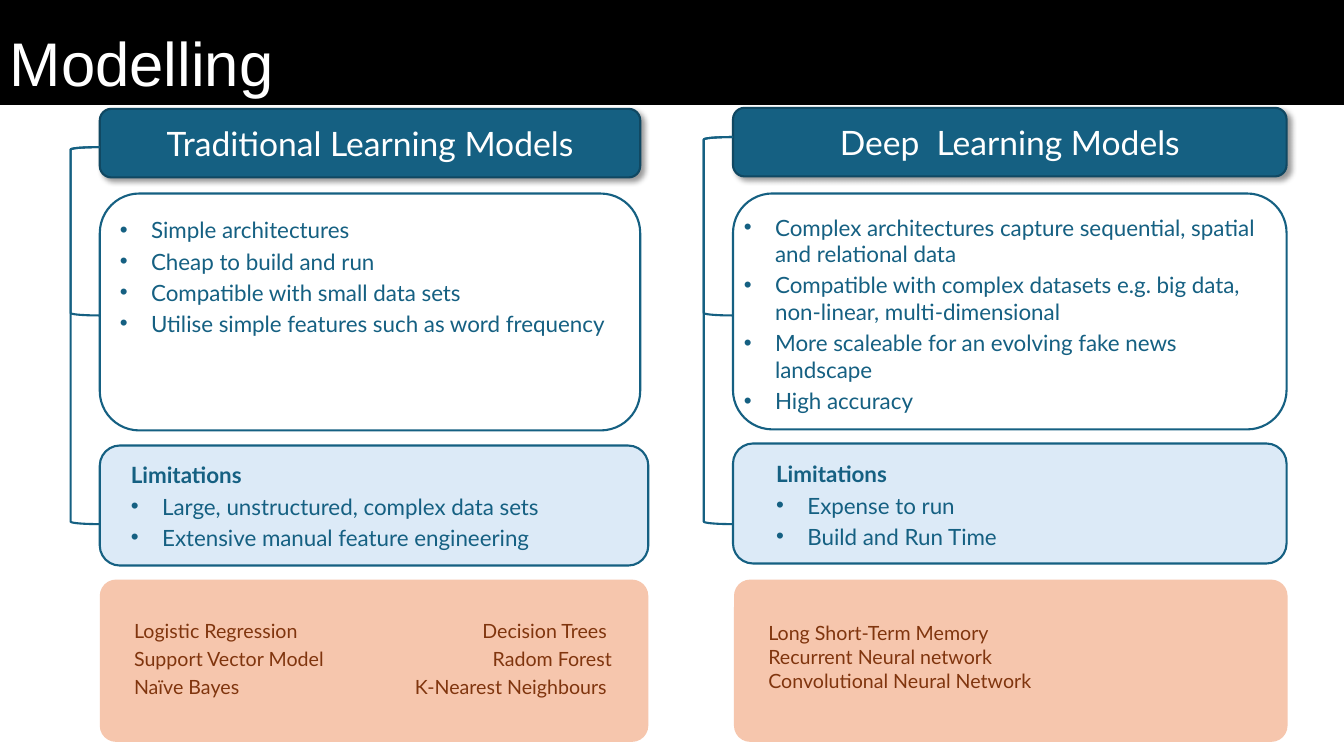
from lxml import etree
from pptx import Presentation
from pptx.dml.color import RGBColor
from pptx.enum.shapes import MSO_SHAPE
from pptx.enum.text import MSO_ANCHOR, MSO_AUTO_SIZE, PP_ALIGN
from pptx.oxml.ns import qn
from pptx.util import Inches, Pt

ROUNDED = MSO_SHAPE.ROUNDED_RECTANGLE
BRACKET = MSO_SHAPE.LEFT_BRACKET
RECTANGLE = MSO_SHAPE.RECTANGLE
MIDDLE, BOTTOM = MSO_ANCHOR.MIDDLE, MSO_ANCHOR.BOTTOM
LEFT, CENTER, RIGHT = PP_ALIGN.LEFT, PP_ALIGN.CENTER, PP_ALIGN.RIGHT
FIT_TEXT = MSO_AUTO_SIZE.SHAPE_TO_FIT_TEXT

WHITE = RGBColor(0xFF, 0xFF, 0xFF)
BLACK = RGBColor(0x00, 0x00, 0x00)
TEAL = RGBColor(0x15, 0x60, 0x82)
DARK_TEAL = RGBColor(0x10, 0x48, 0x62)
PALE_BLUE = RGBColor(0xDC, 0xEA, 0xF7)
PEACH = RGBColor(0xF6, 0xC6, 0xAD)
BROWN = RGBColor(0x80, 0x35, 0x0E)

BULLET_INDENT = Inches(0.31)


def add_box(slide, kind, bounds, fill=None, line=None):
    box = slide.shapes.add_shape(kind, *map(Inches, bounds))
    box.shadow.inherit = False
    if fill is None:
        box.fill.background()
    else:
        box.fill.solid()
        box.fill.fore_color.rgb = fill
    if line is None:
        box.line.fill.background()
    else:
        box.line.color.rgb = line
        box.line.width = Pt(1.5)
    return box


def add_drop_shadow(box):
    effects = box._element.spPr.find(qn("a:effectLst"))
    shadow = etree.SubElement(effects, qn("a:outerShdw"), blurRad=str(Pt(4)),
                              dist=str(Pt(3)), dir="2700000", algn="tl", rotWithShape="0")
    color = etree.SubElement(shadow, qn("a:srgbClr"), val=str(BLACK))
    etree.SubElement(color, qn("a:alpha"), val="40000")


def format_paragraph(paragraph, size, color, font="Lato", align=LEFT):
    paragraph.alignment = align
    for run in paragraph.runs:
        run.font.size = Pt(size)
        run.font.name = font
        run.font.color.rgb = color


def add_bullet(paragraph):
    properties = paragraph._p.get_or_add_pPr()
    properties.set("marL", str(BULLET_INDENT))
    properties.set("indent", str(-BULLET_INDENT))
    etree.SubElement(properties, qn("a:buFont"), typeface="Arial")
    etree.SubElement(properties, qn("a:buChar"), char="•")


def add_title(slide, text):
    banner = add_box(slide, RECTANGLE, (0, -0.01, 13.33, 1.05), BLACK)
    frame = banner.text_frame
    frame.text = text
    frame.vertical_anchor = BOTTOM
    frame.paragraphs[0].line_spacing = 0.9
    format_paragraph(frame.paragraphs[0], 44, WHITE, "Arial")


def add_header(slide, bounds, text):
    header = add_box(slide, ROUNDED, bounds, TEAL, DARK_TEAL)
    add_drop_shadow(header)
    frame = header.text_frame
    frame.text = text
    frame.vertical_anchor = MIDDLE
    format_paragraph(frame.paragraphs[0], 24, WHITE, align=CENTER)


def add_text_box(slide, bounds, lines):
    frame = slide.shapes.add_textbox(*map(Inches, bounds)).text_frame
    frame.word_wrap = True
    frame.text = "\n".join(lines)
    return frame


def add_bullets(slide, bounds, items, heading=None):
    lines = [heading, *items] if heading else items
    frame = add_text_box(slide, bounds, lines)
    frame.auto_size = FIT_TEXT
    for paragraph in frame.paragraphs:
        paragraph.space_after = Pt(3)
        format_paragraph(paragraph, 16, TEAL)
        if paragraph.text == heading:
            paragraph.runs[0].font.bold = True
        else:
            add_bullet(paragraph)


def add_model_names(slide, bounds, names, gap, align=LEFT):
    frame = add_text_box(slide, bounds, names)
    frame.vertical_anchor = MIDDLE
    frame.margin_left = frame.margin_right = Inches(0.02)
    frame.margin_top = frame.margin_bottom = Inches(0.02)
    for paragraph in frame.paragraphs:
        paragraph.line_spacing = 0.9
        paragraph.space_after = Pt(gap)
        format_paragraph(paragraph, 14, BROWN, align=align)


def add_brackets(slide, left, top, bottoms):
    """Link the header to each box below it along the left edge."""
    for bottom in bottoms:
        add_box(slide, BRACKET, (left, top, 0.29, bottom - top), line=TEAL)


def add_models_panel(slide, bounds):
    panel = add_box(slide, ROUNDED, bounds, PEACH)
    panel.adjustments[0] = 0.1


def add_traditional_models(slide):
    add_header(slide, (0.99, 1.08, 5.36, 0.68), "Traditional Learning Models")
    add_box(slide, ROUNDED, (0.99, 1.92, 5.36, 2.35), line=TEAL)
    add_box(slide, ROUNDED, (0.99, 4.42, 5.44, 1.19), PALE_BLUE, TEAL)
    add_brackets(slide, 0.7, 1.46, (3.13, 5.2))
    add_bullets(slide, (1.09, 2.1, 5.29, 1.3), [
        "Simple architectures",
        "Cheap to build and run",
        "Compatible with small data sets",
        "Utilise simple features such as word frequency",
    ])
    add_bullets(slide, (1.2, 4.53, 4.94, 0.89), [
        "Large, unstructured, complex data sets",
        "Extensive manual feature engineering",
    ], "Limitations")
    add_models_panel(slide, (0.99, 5.75, 5.44, 1.61))
    add_model_names(slide, (1.31, 5.88, 2.1, 1.34),
                    ["Logistic Regression", "Support Vector Model", "Naïve Bayes"], 5)
    add_model_names(slide, (3.99, 5.88, 2.1, 1.34),
                    ["Decision Trees ", "Radom Forest", "K-Nearest Neighbours "], 5, RIGHT)


def add_deep_models(slide):
    add_header(slide, (7.27, 1.07, 5.49, 0.68), "Deep  Learning Models")
    add_box(slide, ROUNDED, (7.27, 1.92, 5.49, 2.34), line=TEAL)
    add_box(slide, ROUNDED, (7.27, 4.4, 5.49, 1.19), PALE_BLUE, TEAL)
    add_brackets(slide, 6.98, 1.36, (3.13, 5.2))
    add_bullets(slide, (7.28, 2.07, 5.36, 2.11), [
        "Complex architectures capture sequential, spatial and relational data",
        "Compatible with complex datasets e.g. big data, non-linear, multi-dimensional",
        "More scaleable for an evolving fake news landscape",
        "High accuracy",
    ])
    add_bullets(slide, (7.6, 4.52, 3.16, 0.99),
                ["Expense to run", "Build and Run Time"], "Limitations")
    add_models_panel(slide, (7.28, 5.75, 5.49, 1.61))
    add_model_names(slide, (7.6, 5.84, 2.87, 1.38), [
        "Long Short-Term Memory",
        "Recurrent Neural network",
        "Convolutional Neural Network",
    ], 2)


def main():
    presentation = Presentation()
    presentation.slide_width = Inches(13.33)
    presentation.slide_height = Inches(7.5)
    slide = presentation.slides.add_slide(presentation.slide_layouts[6])
    add_title(slide, "Modelling")
    add_traditional_models(slide)
    add_deep_models(slide)
    presentation.save("out.pptx")


if __name__ == "__main__":
    main()
